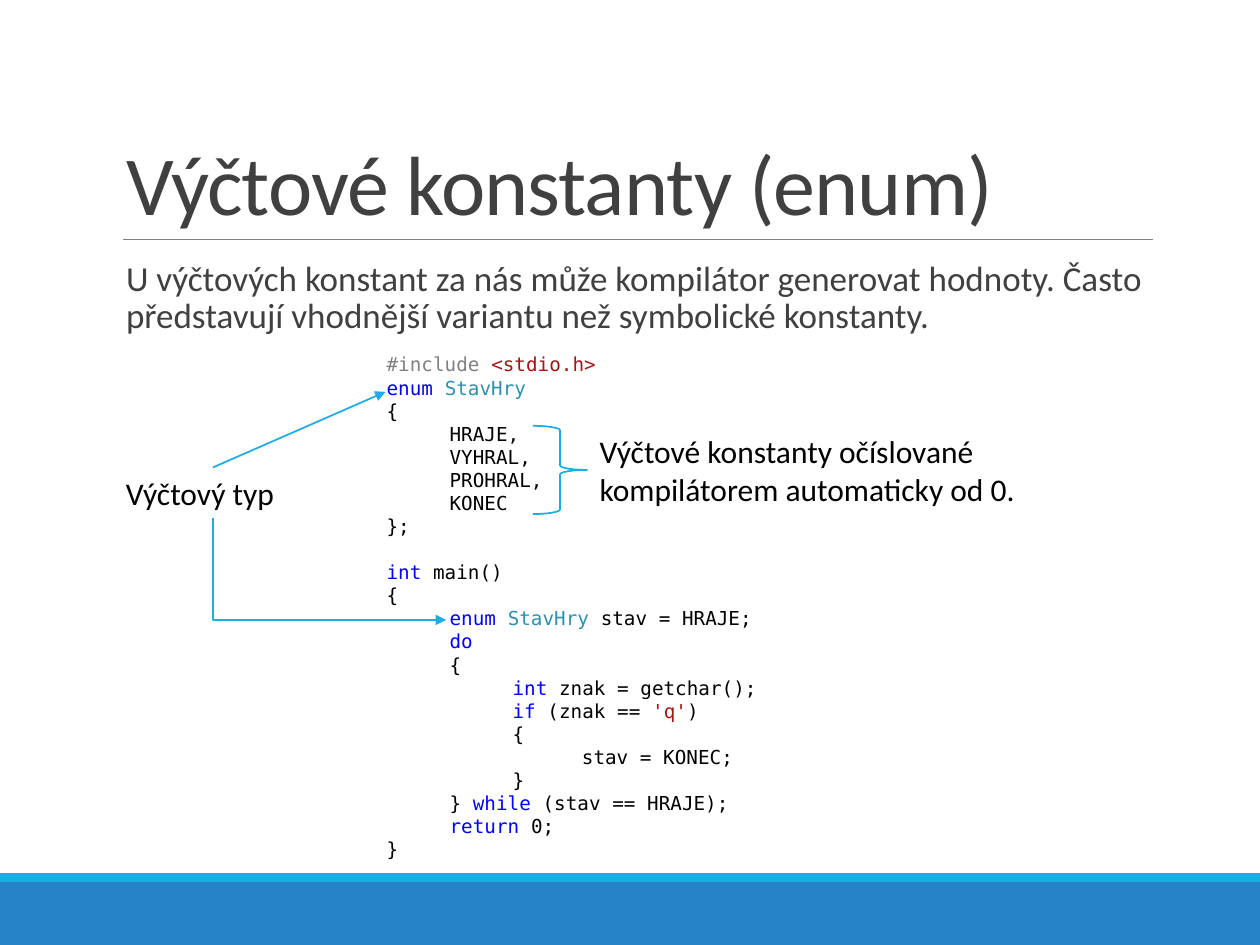
from dataclasses import dataclass

import lxml.etree
import pptx
import pptx.dml.color
import pptx.enum.shapes
import pptx.enum.text
import pptx.oxml.ns
import pptx.util

Inches = pptx.util.Inches
Pt = pptx.util.Pt
Shapes = pptx.enum.shapes.MSO_SHAPE
Connectors = pptx.enum.shapes.MSO_CONNECTOR
Anchor = pptx.enum.text.MSO_ANCHOR
AutoSize = pptx.enum.text.MSO_AUTO_SIZE
qn = pptx.oxml.ns.qn

COLORS = {
    "blue": "2683C6", "accent": "1CADE4", "rule": "808080", "heading": "404040",
    "plain": "000000", "directive": "808080", "string": "A31515",
    "keyword": "0000FF", "type": "2B91AF",
}


@dataclass(frozen=True)
class Box:
    left: float
    top: float
    width: float
    height: float

    def lengths(self) -> list:
        return [Inches(v) for v in (self.left, self.top, self.width, self.height)]


@dataclass(frozen=True)
class CodeLine:
    indent: float
    runs: tuple  # pairs of colour name and text
    space_before: float = 0


@dataclass(frozen=True)
class Label:
    box: Box
    text: str


def plain(indent: float, text: str) -> CodeLine:
    return CodeLine(indent, (("plain", text),))


ENUM_TYPE = (("keyword", "enum"), ("plain", " "), ("type", "StavHry"))
CODE = [
    CodeLine(0, (("directive", "#include"), ("plain", " "), ("string", "<stdio.h>"))),
    CodeLine(0, ENUM_TYPE),
    plain(0, "{"),
    *[plain(0.5, name) for name in ("HRAJE,", "VYHRAL,", "PROHRAL,", "KONEC")],
    plain(0, "};"),
    CodeLine(0, (("keyword", "int"), ("plain", " main()")), space_before=13),
    plain(0, "{"),
    CodeLine(0.5, ENUM_TYPE + (("plain", " stav = HRAJE;"),)),
    CodeLine(0.5, (("keyword", "do"),)),
    plain(0.5, "{"),
    CodeLine(1, (("keyword", "int"), ("plain", " znak = getchar();"))),
    CodeLine(1, (("keyword", "if"), ("plain", " (znak == "),
                 ("string", "'q'"), ("plain", ")"))),
    plain(1, "{"),
    plain(1.55, "stav = KONEC;"),
    plain(1, "}"),
    CodeLine(0.5, (("plain", "} "), ("keyword", "while"), ("plain", " (stav == HRAJE);"))),
    CodeLine(0.5, (("keyword", "return"), ("plain", " 0;"))),
    plain(0, "}"),
]
TYPE_LABEL = Label(Box(0.9, 3.71, 1.58, 0.4), "Výčtový typ")
CONSTANTS_LABEL = Label(Box(4.66, 3.38, 4.49, 0.71),
                        "Výčtové konstanty očíslované kompilátorem automaticky od 0.")


def rgb(name: str):
    return pptx.dml.color.RGBColor.from_string(COLORS[name])


def apply(target, values: dict) -> None:
    for name, value in values.items():
        setattr(target, name, value)


def add_run(paragraph, text: str, color: str, size: float, font: str = "Calibri"):
    run = paragraph.add_run()
    run.text = text
    apply(run.font, {"name": font, "size": Pt(size)})
    run.font.color.rgb = rgb(color)
    return run


def set_indent(paragraph, left: float) -> None:
    properties = paragraph._p.get_or_add_pPr()
    properties.set("marL", str(Inches(left)))
    properties.set("indent", "0")


def fill_placeholder(shape, box: Box, text: str, size: float,
                     frame_format: dict, paragraph_format: dict):
    apply(shape, dict(zip(("left", "top", "width", "height"), box.lengths())))
    apply(shape.text_frame, {"auto_size": AutoSize.NONE, "word_wrap": True, **frame_format})
    paragraph = shape.text_frame.paragraphs[0]
    apply(paragraph, {"alignment": pptx.enum.text.PP_ALIGN.LEFT, **paragraph_format})
    return paragraph, add_run(paragraph, text, "heading", size)


def add_text_box(slide, box: Box):
    shape = slide.shapes.add_textbox(*box.lengths())
    apply(shape.text_frame, {"word_wrap": True, "auto_size": AutoSize.SHAPE_TO_FIT_TEXT})
    return shape


def add_label(slide, label: Label):
    shape = add_text_box(slide, label.box)
    add_run(shape.text_frame.paragraphs[0], label.text, "plain", 18)
    return shape


def add_code(slide, box: Box, lines: list) -> None:
    frame = add_text_box(slide, box).text_frame
    for index, line in enumerate(lines):
        paragraph = frame.add_paragraph() if index else frame.paragraphs[0]
        set_indent(paragraph, line.indent)
        if line.space_before:
            paragraph.space_before = Pt(line.space_before)
        for color, text in line.runs:
            add_run(paragraph, text, color, 11, "DejaVu Sans Mono")


def add_band(slide, box: Box, color: str) -> None:
    shape = slide.shapes.add_shape(Shapes.RECTANGLE, *box.lengths())
    shape.shadow.inherit = False
    shape.fill.solid()
    shape.fill.fore_color.rgb = rgb(color)
    shape.line.fill.background()


def add_line(slide, start: tuple, end: tuple, color: str = "accent", width: float = 1,
             kind=Connectors.STRAIGHT, arrow: bool = True):
    points = [Inches(value) for value in start + end]
    connector = slide.shapes.add_connector(kind, *points)
    connector.line.color.rgb = rgb(color)
    connector.line.width = Pt(width)
    if arrow:
        line = connector.line._get_or_add_ln()
        lxml.etree.SubElement(line, qn("a:tailEnd")).set("type", "triangle")
    lxml.etree.SubElement(connector._element.spPr, qn("a:effectLst"))
    return connector


def add_corner_arrow(slide, start: tuple, end: tuple) -> None:
    """Go down from start, then right to end: a two-part elbow turned by 270 degrees."""
    center_x, center_y = (start[0] + end[0]) / 2, (start[1] + end[1]) / 2
    half_width, half_height = (end[1] - start[1]) / 2, (end[0] - start[0]) / 2
    connector = add_line(slide, (center_x + half_width, center_y - half_height),
                         (center_x - half_width, center_y + half_height),
                         kind=Connectors.ELBOW)
    properties = connector._element.spPr
    properties.find(qn("a:xfrm")).set("rot", str(270 * 60000))
    properties.find(qn("a:prstGeom")).set("prst", "bentConnector2")


def main() -> None:
    presentation = pptx.Presentation()
    apply(presentation, {"slide_width": Inches(10), "slide_height": Inches(7.5)})
    slide = presentation.slides.add_slide(presentation.slide_layouts[1])

    # Footer bands and title rule
    add_band(slide, Box(0, 7, 10, 0.5), "blue")
    add_band(slide, Box(0, 6.93, 10, 0.07), "accent")
    add_line(slide, (0.98, 1.9), (9.15, 1.9), "rule", 0.5, arrow=False)

    # Title and introduction
    _, title_run = fill_placeholder(
        slide.shapes.title, Box(0.9, 0.31, 8.25, 1.59), "Výčtové konstanty (enum)", 48,
        {"vertical_anchor": Anchor.BOTTOM}, {"line_spacing": 0.85})
    title_run.font._element.set("spc", "-50")
    body, _ = fill_placeholder(
        slide.placeholders[1], Box(0.9, 2.02, 8.25, 0.73),
        "U výčtových konstant za nás může kompilátor generovat hodnoty. "
        "Často představují vhodnější variantu než symbolické konstanty.", 20,
        {"vertical_anchor": Anchor.TOP, "margin_left": 0, "margin_right": 0},
        {"line_spacing": 0.9, "space_before": Pt(12), "space_after": Pt(2)})
    set_indent(body, 0.1)
    lxml.etree.SubElement(body._p.get_or_add_pPr(), qn("a:buNone"))

    # Code listing
    add_code(slide, Box(2.97, 2.75, 3.25, 4.17), CODE)

    # Enum type with arrows to its two uses
    type_label = add_label(slide, TYPE_LABEL)
    add_line(slide, (1.69, 3.71), (3.06, 3.11)).begin_connect(type_label, 0)
    add_corner_arrow(slide, (1.69, 4.11), (3.54, 4.92))

    # Brace around the enum constants
    brace = slide.shapes.add_shape(Shapes.RIGHT_BRACE, *Box(4.23, 3.38, 0.43, 0.7).lengths())
    brace.shadow.inherit = False
    brace.fill.background()
    brace.line.color.rgb = rgb("accent")
    brace.line.width = Pt(1)
    add_label(slide, CONSTANTS_LABEL)

    presentation.save("out.pptx")


if __name__ == "__main__":
    main()
